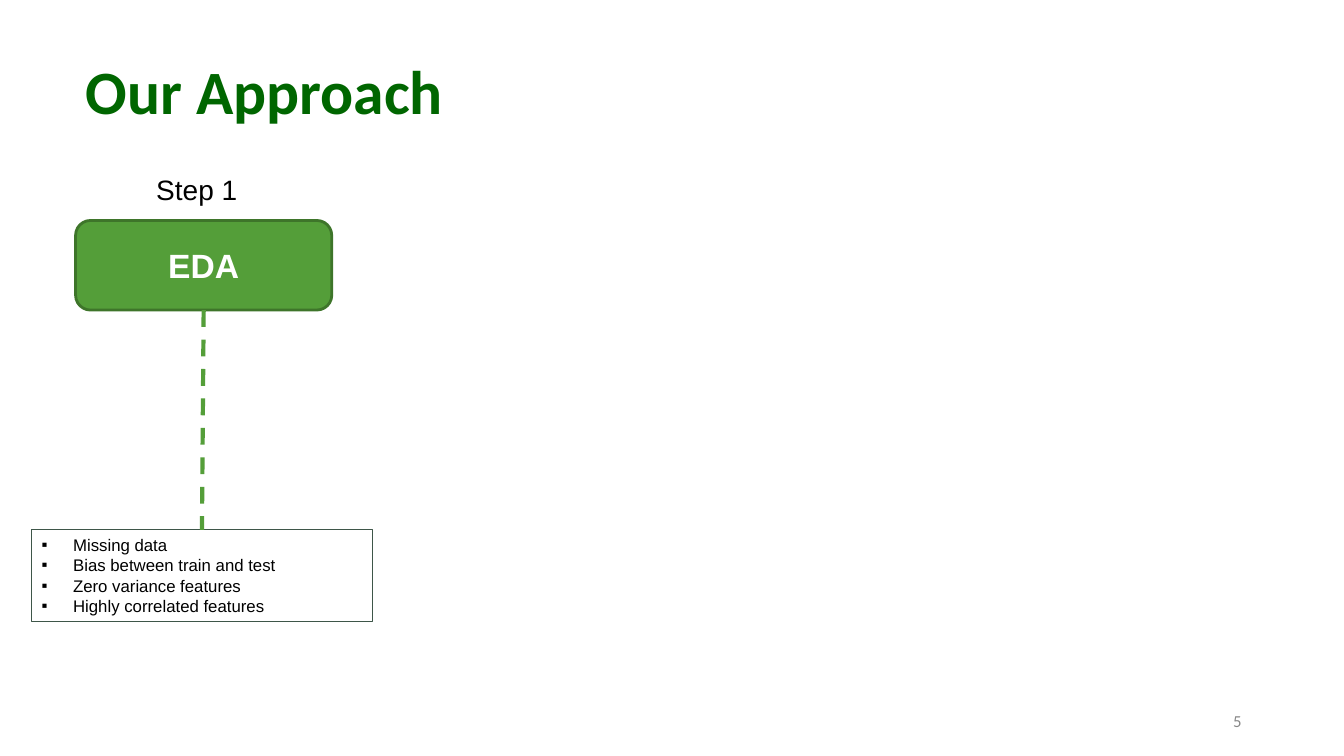
"""Build the "Our Approach" slide with its first step, EDA."""
from lxml import etree
from pptx import Presentation
from pptx.dml.color import RGBColor
from pptx.enum.dml import MSO_LINE
from pptx.enum.shapes import MSO_CONNECTOR, MSO_SHAPE
from pptx.enum.text import MSO_ANCHOR, MSO_AUTO_SIZE, PP_ALIGN
from pptx.oxml.ns import qn
from pptx.util import Pt

COLORS = {
    "title": "006600",
    "number": "888888",
    "step": "549E39",
    "step_edge": "3E752A",
    "list_edge": "3E5649",
    "text": "000000",
    "light": "FFFFFF",
}

CHECKS = [
    "Missing data",
    "Bias between train and test",
    "Zero variance features",
    "Highly correlated features",
]


def color(name):
    return RGBColor.from_string(COLORS[name])


def place(shape, left, top, width, height):
    shape.left, shape.top = Pt(left), Pt(top)
    shape.width, shape.height = Pt(width), Pt(height)


def set_line(shape, name, width):
    shape.line.color.rgb = color(name)
    shape.line.width = Pt(width)


def set_text(shape, lines, size, name, font="Arial", bold=False,
             align=PP_ALIGN.LEFT, anchor=MSO_ANCHOR.TOP, bullet=None):
    frame = shape.text_frame
    frame.word_wrap = True
    frame.auto_size = MSO_AUTO_SIZE.NONE
    frame.vertical_anchor = anchor
    frame.text = "\n".join(lines)
    for paragraph in frame.paragraphs:
        if bullet:
            add_bullet(paragraph, bullet)
        paragraph.alignment = align
        paragraph.space_before = Pt(0)
        paragraph.font.name = font
        paragraph.font.size = Pt(size)
        paragraph.font.bold = bold
        paragraph.font.color.rgb = color(name)


def add_bullet(paragraph, mark):
    properties = paragraph._p.get_or_add_pPr()
    properties.set("marL", str(Pt(22.5)))
    properties.set("indent", str(-Pt(22.5)))
    tint = etree.SubElement(properties, qn("a:buClr"))
    etree.SubElement(tint, qn("a:srgbClr"), val=COLORS["text"])
    etree.SubElement(properties, qn("a:buFont"), typeface="Arial")
    etree.SubElement(properties, qn("a:buChar"), char=mark)


def add_label(slide, box, text, size, name, **style):
    label = slide.shapes.add_textbox(*map(Pt, box))
    set_text(label, [text], size, name, **style)


def add_step(slide, box, text):
    step = slide.shapes.add_shape(MSO_SHAPE.ROUNDED_RECTANGLE, *map(Pt, box))
    step.shadow.inherit = False
    step.fill.solid()
    step.fill.fore_color.rgb = color("step")
    set_line(step, "step_edge", 2)
    set_text(step, [text], 24, "light", bold=True,
             align=PP_ALIGN.CENTER, anchor=MSO_ANCHOR.MIDDLE)
    return step


def add_dashed_link(slide, upper, lower):
    link = slide.shapes.add_connector(MSO_CONNECTOR.STRAIGHT, 0, 0, 0, 0)
    link.begin_connect(upper, 2)
    link.end_connect(lower, 0)
    set_line(link, "step", 3)
    link.line.dash_style = MSO_LINE.DASH
    etree.SubElement(link._element.spPr, qn("a:effectLst"))


def main():
    deck = Presentation()
    deck.slide_width, deck.slide_height = Pt(960), Pt(540)
    slide = deck.slides.add_slide(deck.slide_layouts[1])

    title = slide.shapes.title
    place(title, 54, 15, 758, 104.5)
    set_text(title, ["Our Approach"], 44, "title", font="Calibri", bold=True,
             anchor=MSO_ANCHOR.MIDDLE)
    title.text_frame.paragraphs[0].line_spacing = 0.9

    checks = slide.placeholders[1]
    place(checks, 22.5, 378.5, 243.5, 65.5)
    set_line(checks, "list_edge", 0.75)
    set_text(checks, CHECKS, 12, "text", bullet="▪")

    add_label(slide, (678, 500.5, 216, 28.5), "5", 12, "number",
              font="Calibri", align=PP_ALIGN.RIGHT, anchor=MSO_ANCHOR.MIDDLE)
    add_label(slide, (104.5, 119.5, 101, 31.5), "Step 1", 20, "text")
    eda = add_step(slide, (54, 157.5, 183, 64), "EDA")
    add_dashed_link(slide, eda, checks)

    deck.save("out.pptx")


if __name__ == "__main__":
    main()
